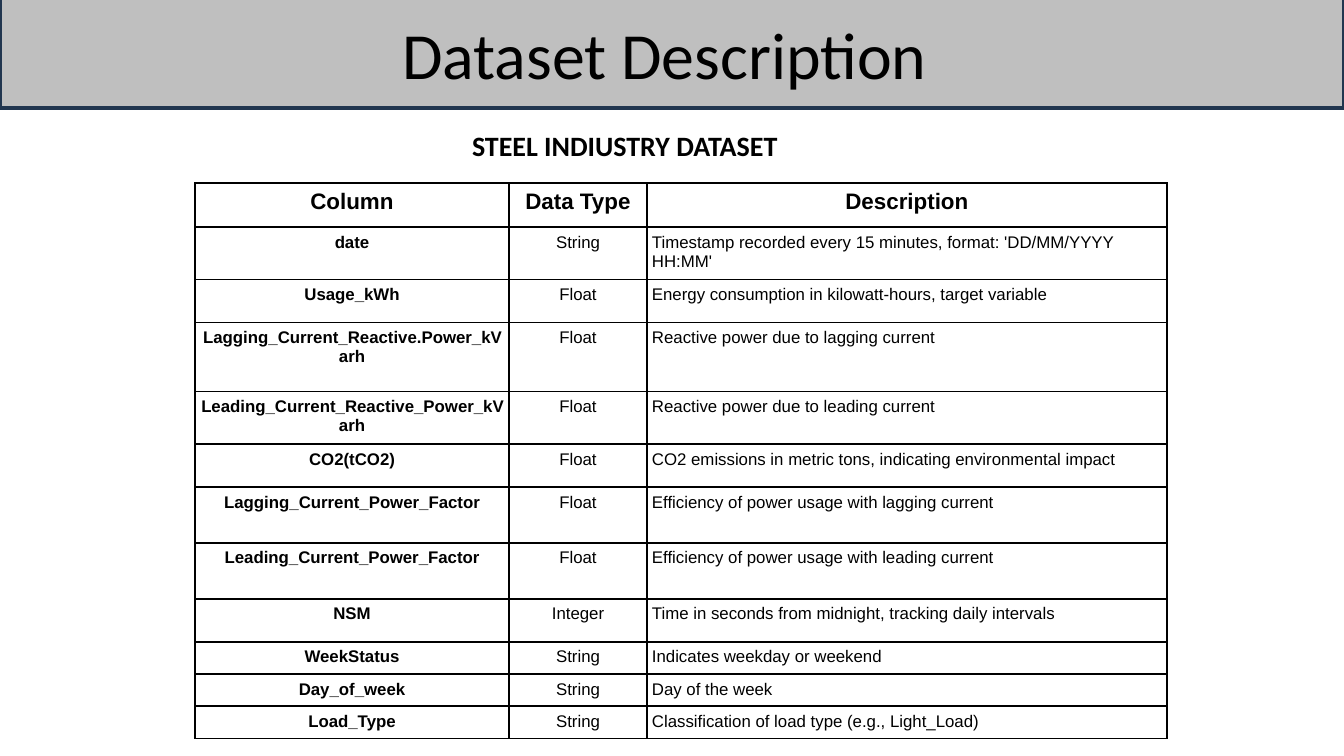
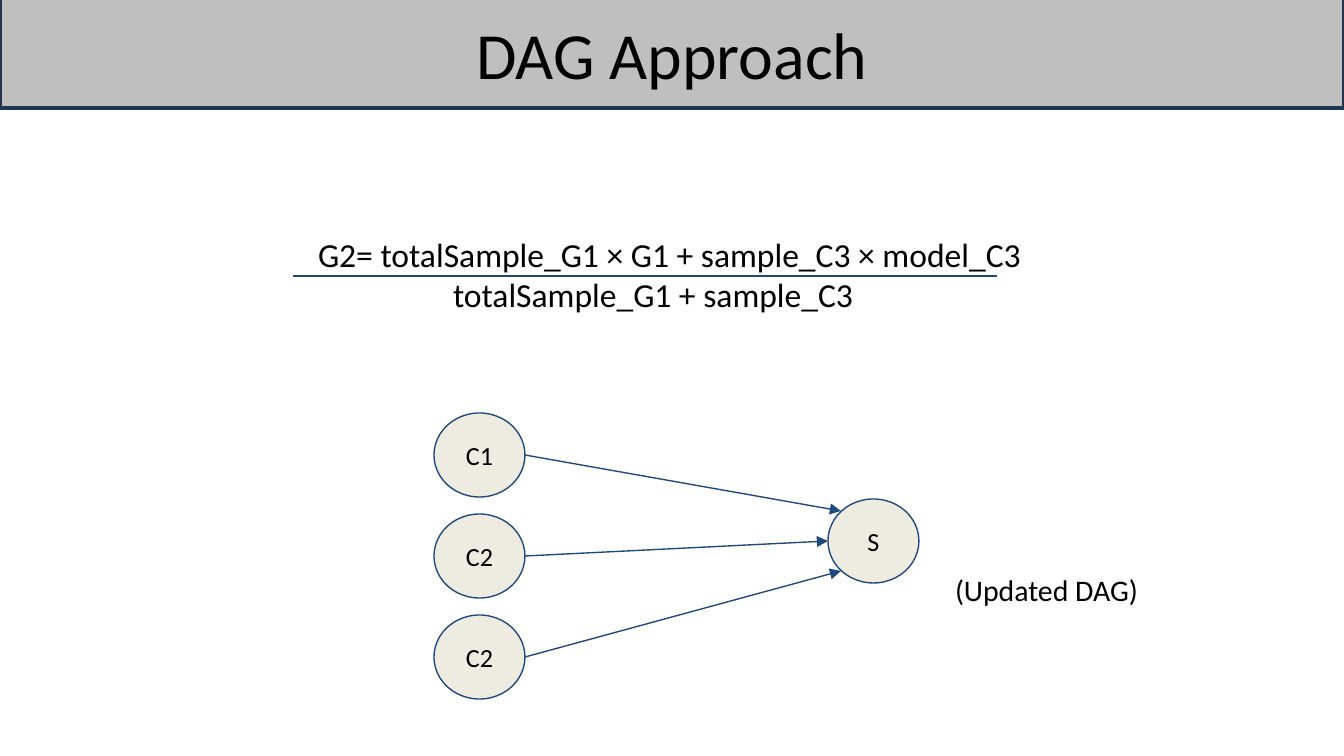
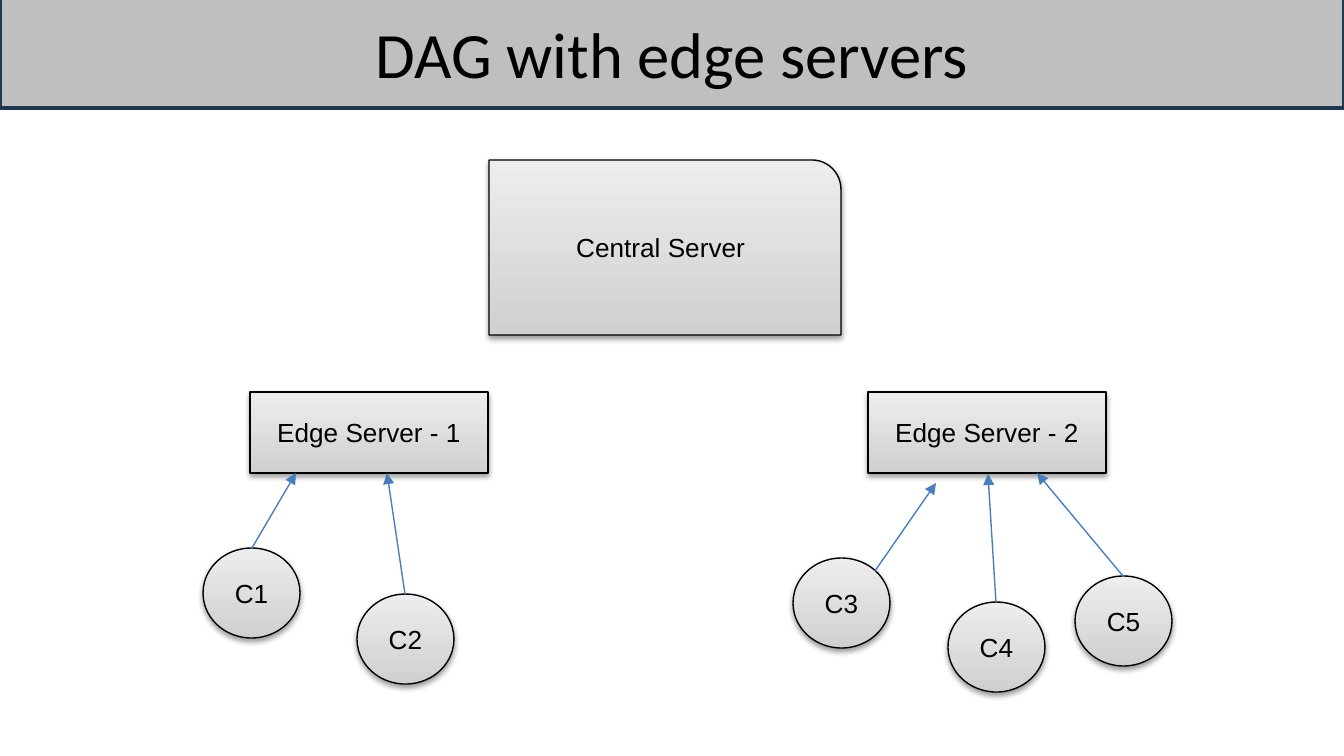
from lxml import etree
from pptx import Presentation
from pptx import util as u
from pptx.dml.color import RGBColor
from pptx.enum import shapes, text
from pptx.oxml.ns import qn

PX = 6804  # EMU in one px
COLORS = {
    "band": "BFBFBF", "band_edge": "21364F", "ink": "000000",
    "node": "EEECE1", "navy": "1F497D", "arrow": "4A7EBB",
    "server_low": "D0D0D0", "server_high": "EDEDED",
}
COLORS = {name: RGBColor.from_string(value) for name, value in COLORS.items()}
ANCHOR, ALIGN, PRESET = text.MSO_ANCHOR, text.PP_ALIGN, shapes.MSO_SHAPE


def write(holder, words, size, font="Calibri", bold=False, align=ALIGN.CENTER,
          anchor=ANCHOR.MIDDLE, insets=(5, 3, 5, 3), indents=(0,)):
    """Fill a shape or table cell; each line of words becomes a paragraph."""
    frame = holder.text_frame
    frame.word_wrap = True
    box = holder if hasattr(holder, "margin_left") else frame
    box.vertical_anchor = anchor
    box.margin_left, box.margin_top, box.margin_right, box.margin_bottom = [
        side * PX for side in insets]
    frame.text = words
    for paragraph, indent in zip(frame.paragraphs, indents):
        paragraph.alignment = align
        if indent:
            paragraph._p.get_or_add_pPr().set("marL", str(indent * PX))
        run = paragraph.runs[0].font
        run.name, run.size, run.bold = font, u.Pt(size), bold
        run.color.rgb = COLORS["ink"]


def draw_line(slide, start, end, color, arrow=True):
    line = slide.shapes.add_connector(
        shapes.MSO_CONNECTOR.STRAIGHT, *[v * PX for v in (*start, *end)])
    line.line.color.rgb = COLORS[color]
    line.line.width = u.Pt(0.75)
    if arrow:
        etree.SubElement(line.line._get_or_add_ln(), qn("a:tailEnd"), type="triangle")
    etree.SubElement(line._element.spPr, qn("a:effectLst"))


deck = Presentation()
deck.slide_width, deck.slide_height = 1344 * PX, 756 * PX

# Title band on every slide
slides = []
for title, size in (("Dataset Description ", 35.3), ("DAG Approach", 35.3),
                    ("DAG with edge servers", 34.6)):
    slide = deck.slides.add_slide(deck.slide_layouts[6])
    band = slide.shapes.add_shape(PRESET.RECTANGLE, 0, -3 * PX, 1344 * PX, 111 * PX)
    band.shadow.inherit = False
    band.fill.solid()
    band.fill.fore_color.rgb = COLORS["band"]
    band.line.color.rgb = COLORS["band_edge"]
    band.line.width = u.Pt(2)
    heading = slide.shapes.add_textbox(370 * PX, 11 * PX, 604 * PX, 84 * PX)
    write(heading, title, size)
    slides.append(slide)
dataset, approach, edges = slides

# Slide 1: dataset columns
subtitle = dataset.shapes.add_textbox(147 * PX, 126 * PX, 956 * PX, 39 * PX)
write(subtitle, "STEEL INDIUSTRY DATASET", 15, bold=True, anchor=ANCHOR.TOP)

FIELDS = [
    (44, "Column", "Data Type", "Description"),
    (43, "date", "String",
     "Timestamp recorded every 15 minutes, format: 'DD/MM/YYYY HH:MM'"),
    (43, "Usage_kWh", "Float", "Energy consumption in kilowatt-hours, target variable"),
    (69, "Lagging_Current_Reactive.Power_kVarh", "Float",
     "Reactive power due to lagging current"),
    (48, "Leading_Current_Reactive_Power_kVarh", "Float",
     "Reactive power due to leading current"),
    (43, "CO2(tCO2)", "Float",
     "CO2 emissions in metric tons, indicating environmental impact"),
    (56, "Lagging_Current_Power_Factor", "Float",
     "Efficiency of power usage with lagging current"),
    (56, "Leading_Current_Power_Factor", "Float",
     "Efficiency of power usage with leading current"),
    (43, "NSM", "Integer", "Time in seconds from midnight, tracking daily intervals"),
    (30, "WeekStatus", "String", "Indicates weekday or weekend"),
    (30, "Day_of_week", "String", "Day of the week"),
    (24, "Load_Type", "String", "Classification of load type (e.g., Light_Load)"),
]
WIDTHS = (314, 138, 520)
fields = dataset.shapes.add_table(
    len(FIELDS), len(WIDTHS), 195 * PX, 183 * PX, sum(WIDTHS) * PX,
    sum(field[0] for field in FIELDS) * PX).table
fields.first_row = fields.horz_banding = False
for column, width in zip(fields.columns, WIDTHS):
    column.width = width * PX
for r, (height, *entries) in enumerate(FIELDS):
    fields.rows[r].height = height * PX
    for c, entry in enumerate(entries):
        cell = fields.cell(r, c)
        write(cell, entry, 9 if r else 12, font="Arial", bold=r == 0 or c == 0,
              align=ALIGN.LEFT if r and c == 2 else ALIGN.CENTER,
              anchor=ANCHOR.TOP, insets=(5, 6, 5, 6))
        cell.fill.background()
        for i, side in enumerate(("a:lnL", "a:lnR", "a:lnT", "a:lnB")):
            border = etree.Element(qn(side), w=str(u.Pt(0.96)))
            ink = etree.SubElement(border, qn("a:solidFill"))
            etree.SubElement(ink, qn("a:srgbClr"), val=str(COLORS["ink"]))
            cell._tc.get_or_add_tcPr().insert(i, border)

# Slide 2: update formula as a fraction, its bar between the two lines
formula = approach.shapes.add_textbox(112 * PX, 231 * PX, 1137 * PX, 88 * PX)
write(formula, "G2= totalSample_G1 × G1 + sample_C3 × model_C3\n"
      "totalSample_G1 + sample_C3", 18, align=ALIGN.LEFT, anchor=ANCHOR.TOP,
      indents=(201, 336))
draw_line(approach, (293, 276), (997, 276), "navy", arrow=False)

# Slide 2: three clients feeding the server
CLIENT_X, CLIENT_Y, CLIENT_STEP = 434, 413, 101
NODE_W, NODE_H = 91, 84
clients = [(name, CLIENT_X, CLIENT_Y + i * CLIENT_STEP)
           for i, name in enumerate(("C1", "C2", "C2"))]
for name, x, y in clients + [("S", 828, 499)]:
    node = approach.shapes.add_shape(
        PRESET.OVAL, x * PX, y * PX, NODE_W * PX, NODE_H * PX)
    node.shadow.inherit = False
    node.fill.solid()
    node.fill.fore_color.rgb = COLORS["node"]
    node.line.color.rgb = COLORS["navy"]
    node.line.width = u.Pt(0.75)
    write(node, name, 14, insets=(13, 13, 13, 13))
for (_, x, y), server_edge in zip(clients, ((841, 511), (828, 541), (841, 571))):
    draw_line(approach, (x + NODE_W, y + NODE_H // 2), server_edge, "navy")
caption = approach.shapes.add_textbox(942 * PX, 559 * PX, 266 * PX, 73 * PX)
write(caption, "(Updated DAG)", 16, align=ALIGN.LEFT, anchor=ANCHOR.TOP,
      insets=(13, 13, 13, 13))

# Slide 3: central server, edge servers and their clients
EDGE = (PRESET.RECTANGLE, 238, 81)
CLIENT = (PRESET.FLOWCHART_CONNECTOR, 97, 90)
CENTRAL = (PRESET.ROUND_1_RECTANGLE, 352, 175)
for name, (preset, width, height), x, y in (
        ("Edge Server - 1", EDGE, 250, 392), ("Edge Server - 2", EDGE, 868, 392),
        ("C1", CLIENT, 203, 548), ("C2", CLIENT, 357, 594),
        ("C3", CLIENT, 793, 558), ("C4", CLIENT, 948, 602),
        ("C5", CLIENT, 1075, 576), ("Central Server", CENTRAL, 489, 160)):
    machine = edges.shapes.add_shape(preset, x * PX, y * PX, width * PX, height * PX)
    machine.fill.gradient()
    machine.fill.gradient_angle = 90
    for stop, tone in zip(machine.fill.gradient_stops, ("server_low", "server_high")):
        stop.color.rgb = COLORS[tone]
    machine.line.color.rgb = COLORS["ink"]
    machine.line.width = u.Pt(0.75)
    machine.shadow.inherit = False
    shadow = etree.SubElement(
        machine._element.spPr.find(qn("a:effectLst")), qn("a:outerShdw"),
        blurRad=str(u.Pt(3.1)), dist=str(u.Pt(1.6)), dir="5400000", rotWithShape="0")
    shade = etree.SubElement(shadow, qn("a:srgbClr"), val=str(COLORS["ink"]))
    etree.SubElement(shade, qn("a:alpha"), val="38000")
    write(machine, name, 14, font="Arial", insets=(13, 7, 13, 7))

for client_edge, server_edge in (
        ((252, 548), (296, 473)), ((405, 594), (387, 473)),
        ((875, 571), (936, 483)), ((996, 602), (988, 474)),
        ((1123, 576), (1037, 473))):
    draw_line(edges, client_edge, server_edge, "arrow")

deck.save("out.pptx")
